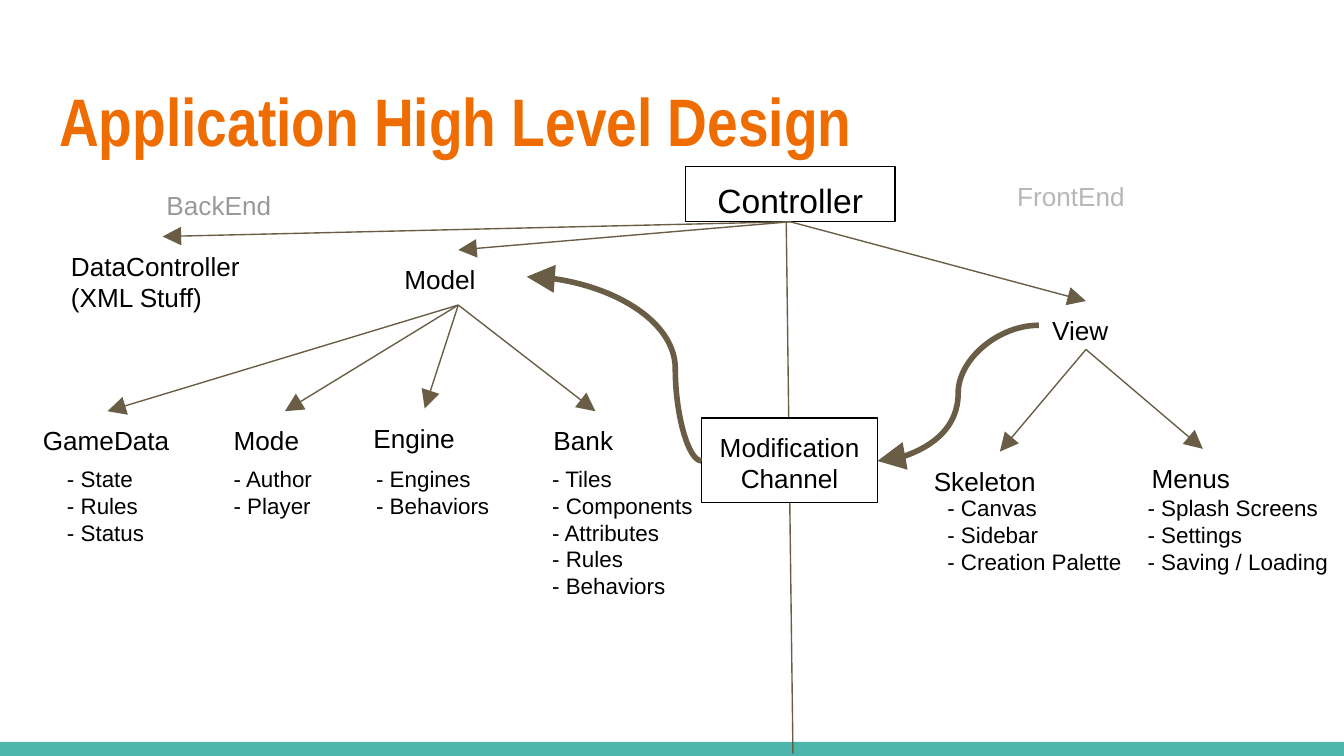
import pptx
import pptx.dml.color
import pptx.enum.shapes
import pptx.enum.text
import pptx.oxml
import pptx.oxml.ns
import pptx.util

Inches = pptx.util.Inches
Pt = pptx.util.Pt
RGBColor = pptx.dml.color.RGBColor
Align = pptx.enum.text.PP_ALIGN
Connector = pptx.enum.shapes.MSO_CONNECTOR

ORANGE = RGBColor(0xEF, 0x6C, 0x00)
TEAL = RGBColor(0x4D, 0xB6, 0xAC)
BROWN = RGBColor(0x69, 0x5D, 0x46)
BLACK = RGBColor(0, 0, 0)
WHITE = RGBColor(255, 255, 255)
GRAY = RGBColor(0x99, 0x99, 0x99)
LIGHT_GRAY = RGBColor(0xB7, 0xB7, 0xB7)

# Label, left, top, width, height
NODES = [
    ("Model", 2.91, 1.86, 1.01, 0.41),
    ("DataController\n(XML Stuff)", 0.43, 1.76, 1.56, 0.63),
    ("View", 7.73, 2.24, 0.71, 0.36),
    ("GameData", 0.22, 3.06, 1.17, 0.36),
    ("Mode", 1.64, 3.06, 0.96, 0.36),
    ("Engine", 2.68, 3.04, 0.96, 0.41),
    ("Bank", 4.02, 3.06, 0.83, 0.36),
    ("Skeleton", 6.85, 3.36, 1.17, 0.36),
    ("Menus", 8.47, 3.34, 0.96, 0.41),
]
# Items, left, top, width
DETAILS = [
    (["State", "Rules", "Status"], 0.4, 3.36, 1.29),
    (["Author", "Player"], 1.64, 3.36, 0.96),
    (["Engines", "Behaviors"], 2.7, 3.36, 1.11),
    (["Tiles", "Components", "Attributes", "Rules", "Behaviors"], 4.01, 3.36, 1.29),
    (["Canvas", "Sidebar", "Creation Palette"], 6.95, 3.58, 1.51),
    (["Splash Screens", "Settings", "Saving / Loading"], 8.44, 3.58, 1.56),
]
# Parent anchor and the points its arrows lead to
BRANCHES = {
    (5.88, 1.65): [(8.08, 2.24), (3.41, 1.86), (1.21, 1.76)],
    (3.41, 2.27): [(0.8, 3.06), (2.12, 3.06), (3.16, 3.04), (4.43, 3.06)],
    (8.08, 2.6): [(7.44, 3.36), (8.95, 3.34)],
}


def write_text(frame, text, size=14, color=BLACK, font="Arial", bold=False, align=Align.LEFT):
    frame.word_wrap = True
    frame.auto_size = pptx.enum.text.MSO_AUTO_SIZE.NONE
    frame.vertical_anchor = pptx.enum.text.MSO_ANCHOR.TOP
    frame.margin_left = frame.margin_right = Inches(0.1)
    frame.margin_top = frame.margin_bottom = Inches(0.1)
    frame.text = text
    for paragraph in frame.paragraphs:
        paragraph.alignment = align
        for run in paragraph.runs:
            run.font.name = font
            run.font.size = Pt(size)
            run.font.bold = bold
            run.font.color.rgb = color


class Diagram:
    def __init__(self, slide, line_color=BROWN, line_width=0.75):
        self.slide = slide
        self.line_color = line_color
        self.line_width = line_width

    def title(self, text, left, top, width, height):
        title = self.slide.shapes.title
        title.left, title.top = Inches(left), Inches(top)
        title.width, title.height = Inches(width), Inches(height)
        write_text(title.text_frame, text, size=36, color=ORANGE, font="Arial Narrow", bold=True)

    def label(self, text, left, top, width, height, **text_format):
        box = self.slide.shapes.add_textbox(
            Inches(left), Inches(top), Inches(width), Inches(height))
        write_text(box.text_frame, text, **text_format)

    def box(self, left, top, width, height, fill=None, outline=None, text="", size=14):
        shape = self.slide.shapes.add_shape(
            pptx.enum.shapes.MSO_SHAPE.RECTANGLE,
            Inches(left), Inches(top), Inches(width), Inches(height))
        shape.shadow.inherit = False
        if fill is None:
            shape.fill.background()
        else:
            shape.fill.solid()
            shape.fill.fore_color.rgb = fill
        if outline is None:
            shape.line.fill.background()
        else:
            shape.line.color.rgb = outline
            shape.line.width = Pt(self.line_width)
        if text:
            write_text(shape.text_frame, text, size=size, align=Align.CENTER)

    def line(self, start, end, kind=Connector.STRAIGHT, width=None, arrow=True, bend=None):
        """Draw a connector; bend is where a curve turns, as a share of its width."""
        connector = self.slide.shapes.add_connector(
            kind, *(Inches(value) for value in (*start, *end)))
        connector.line.color.rgb = self.line_color
        connector.line.width = Pt(width or self.line_width)
        properties = connector._element.spPr
        qn = pptx.oxml.ns.qn
        if arrow:
            outline = properties.find(qn("a:ln"))
            outline.append(outline.makeelement(
                qn("a:tailEnd"), {"type": "triangle", "w": "lg", "len": "lg"}))
        if bend is not None:
            guides = properties.find(qn("a:prstGeom")).get_or_add_avLst()
            guides.append(guides.makeelement(
                qn("a:gd"), {"name": "adj1", "fmla": f"val {round(bend * 100000)}"}))
        properties.append(properties.makeelement(qn("a:effectLst"), {}))


def main():
    presentation = pptx.Presentation()
    presentation.slide_width = Inches(10)
    presentation.slide_height = presentation.slide_width * 9 // 16
    diagram = Diagram(presentation.slides.add_slide(presentation.slide_layouts[5]))

    diagram.box(0, 5.52, 10, 0.11, fill=TEAL)
    diagram.title("Application High Level Design", 0.34, 0.49, 9.32, 0.77)
    diagram.box(5.1, 1.24, 1.56, 0.41, outline=BLACK, text="Controller", size=18)
    diagram.label("BackEnd", 1.14, 1.31, 1.79, 0.41, color=GRAY)
    diagram.label("FrontEnd", 7.47, 1.24, 1.79, 0.41, color=LIGHT_GRAY)
    diagram.line((5.85, 1.65), (5.9, 5.61), arrow=False)
    diagram.box(5.22, 3.11, 1.31, 0.63, fill=WHITE, outline=BLACK, text="Modification Channel")

    for node in NODES:
        diagram.label(*node)
    for items, left, top, width in DETAILS:
        text = "\n".join(f"- {item}" for item in items)
        diagram.label(text, left, top, width, 0.8, size=12)

    diagram.line((7.73, 2.42), (6.53, 3.43), kind=Connector.CURVE, width=3, bend=0.5)
    diagram.line((5.22, 3.43), (3.92, 2.06), kind=Connector.CURVE, width=3, bend=0.15)
    for parent, children in BRANCHES.items():
        for child in children:
            diagram.line(parent, child)

    presentation.save("out.pptx")


if __name__ == "__main__":
    main()
